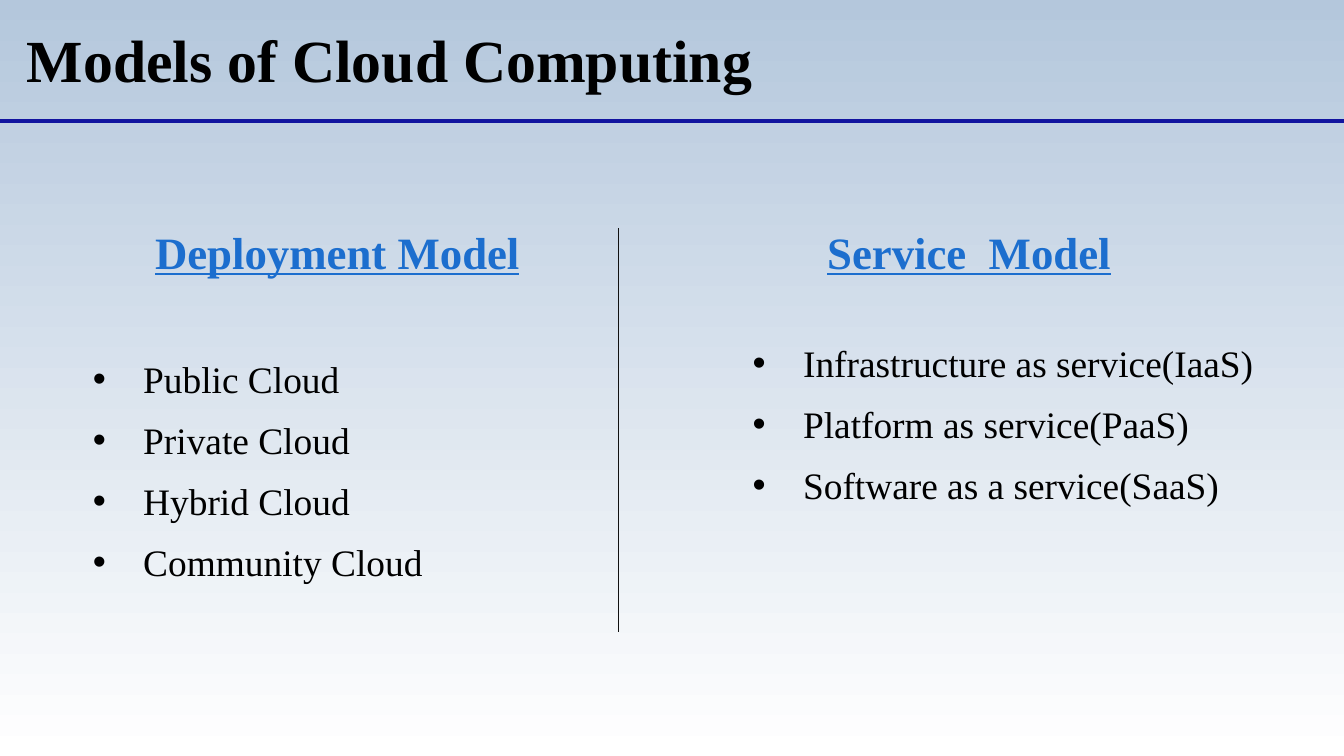
from lxml.etree import SubElement
from pptx import Presentation
from pptx.dml.color import RGBColor
from pptx.enum.shapes import MSO_CONNECTOR
from pptx.enum.text import MSO_ANCHOR, MSO_AUTO_SIZE, PP_ALIGN
from pptx.oxml.ns import qn
from pptx.util import Inches, Pt

TITLE = "Models of Cloud Computing"
MODELS = [
    {
        "heading": "Deployment Model",
        "heading_left": 0.3,
        "items": ["Public Cloud", "Private Cloud", "Hybrid Cloud", "Community Cloud"],
        "items_box": (0.59, 2.6, 4.42, 2.21),
    },
    {
        "heading": "Service  Model",
        "heading_left": 5,
        "items": [
            "Infrastructure as service(IaaS)",
            "Platform as service(PaaS)",
            "Software as a service(SaaS)",
        ],
        "items_box": (5.5, 2.48, 4.4, 2.34),
    },
]

WIDTH = 10
HEIGHT = WIDTH * 9 / 16
MARGIN = 0.1
HEADING_TOP, HEADING_WIDTH, HEADING_HEIGHT = 1.6, 4.42, 0.52
BULLET_INDENT = Pt(27)
FONT = "Times New Roman"
BLACK = RGBColor(0x00, 0x00, 0x00)
HEADING_BLUE = RGBColor(0x1C, 0x6E, 0xCE)
RULE_BLUE = RGBColor(0x12, 0x14, 0x9F)
DIVIDER_GRAY = RGBColor(0x11, 0x11, 0x11)
BACKGROUND = [RGBColor(0xB4, 0xC7, 0xDC), RGBColor(0xFF, 0xFF, 0xFF)]


def fill_placeholder(shape, box, lines, size, color, anchor, alignment, space, bold=False, underline=False):
    shape.left, shape.top, shape.width, shape.height = map(Inches, box)
    frame = shape.text_frame
    frame.text = "\n".join(lines)
    frame.word_wrap = True
    frame.auto_size = MSO_AUTO_SIZE.NONE
    frame.vertical_anchor = anchor
    for paragraph in frame.paragraphs:
        paragraph.alignment = alignment
        paragraph.space_before = Pt(space)
        font = paragraph.runs[0].font
        font.name, font.size, font.bold, font.underline = FONT, Pt(size), bold, underline
        font.color.rgb = color


def add_bullets(shape):
    for paragraph in shape.text_frame.paragraphs:
        properties = paragraph._p.get_or_add_pPr()
        properties.set("marL", str(BULLET_INDENT))
        properties.set("indent", str(-BULLET_INDENT))
        bullet_color = SubElement(properties, qn("a:buClr"))
        SubElement(bullet_color, qn("a:srgbClr"), val=str(BLACK))
        SubElement(properties, qn("a:buChar"), char="•")


def add_line(slide, start, end, color, width):
    line = slide.shapes.add_connector(MSO_CONNECTOR.STRAIGHT, *map(Inches, start + end))
    line.line.color.rgb = color
    line.line.width = Pt(width)
    SubElement(line._element.spPr, qn("a:effectLst"))


def main():
    """Build the slide that compares deployment and service models."""
    presentation = Presentation()
    presentation.slide_width, presentation.slide_height = Inches(WIDTH), Inches(HEIGHT)
    slide = presentation.slides.add_slide(presentation.slide_layouts.get_by_name("Comparison"))

    background = slide.background.fill
    background.gradient()
    background.gradient_angle = 270
    for position, (stop, color) in enumerate(zip(background.gradient_stops, BACKGROUND)):
        stop.position = position
        stop.color.rgb = color

    title, *bodies = slide.placeholders
    fill_placeholder(title, (MARGIN, MARGIN, WIDTH - 2 * MARGIN, 0.67), [TITLE], 32, BLACK,
                     MSO_ANCHOR.MIDDLE, PP_ALIGN.LEFT, 0, bold=True)
    for model, heading, items in zip(MODELS, bodies[::2], bodies[1::2]):
        heading_box = (model["heading_left"], HEADING_TOP, HEADING_WIDTH, HEADING_HEIGHT)
        fill_placeholder(heading, heading_box, [model["heading"]], 24, HEADING_BLUE,
                         MSO_ANCHOR.BOTTOM, PP_ALIGN.CENTER, 4.8, bold=True, underline=True)
        fill_placeholder(items, model["items_box"], model["items"], 20, BLACK,
                         MSO_ANCHOR.TOP, PP_ALIGN.LEFT, 8.7)
        add_bullets(items)

    add_line(slide, (4.6, 1.7), (4.6, 4.7), DIVIDER_GRAY, 0.75)
    add_line(slide, (0, 0.9), (WIDTH, 0.9), RULE_BLUE, 2.3)
    presentation.save("out.pptx")


if __name__ == "__main__":
    main()
